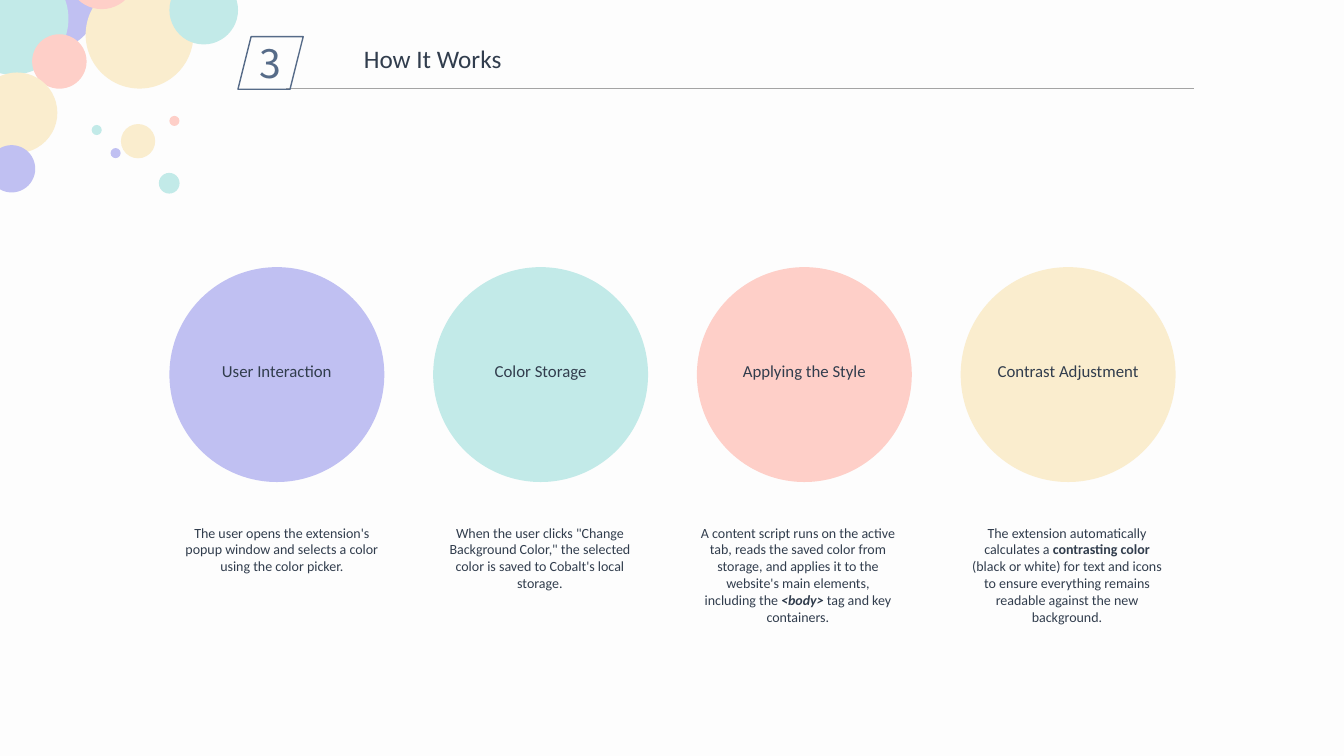
"""Build the "How It Works" slide with four steps."""
import pptx
import pptx.dml.color
import pptx.enum.shapes
import pptx.enum.text
import pptx.oxml.ns
import pptx.util
from lxml import etree

Pt = pptx.util.Pt
SHAPE = pptx.enum.shapes.MSO_SHAPE
ALIGN = pptx.enum.text.PP_ALIGN
ANCHOR = pptx.enum.text.MSO_ANCHOR

LILAC, MINT, PINK, CREAM = "C0C0F2", "C2EAE8", "FECFC8", "FAEDCE"
INK, SLATE, GREY, PAPER = "313D4D", "566B88", "A4A4A4", "FDFDFD"

TITLE = "How It Works"
NUMBER = "3"

STEPS = [
    ("User Interaction", LILAC, 124.5, [
        ("The user opens the extension's popup window and selects a color "
         "using the color picker.", "")]),
    ("Color Storage", MINT, 308.9, [
        ("When the user clicks \"Change Background Color,\" the selected color "
         "is saved to Cobalt's local storage.", "")]),
    ("Applying the Style", PINK, 493.2, [
        ("A content script runs on the active tab, reads the saved color from "
         "storage, and applies it to the website's main elements, including the ", ""),
        ("<body> ", "bi"),
        ("tag and key containers.", "")]),
    ("Contrast Adjustment", CREAM, 685.4, [
        ("The extension automatically calculates a ", ""),
        ("contrasting color", "b"),
        (" (black or white) for text and icons to ensure everything remains "
         "readable against the new background.", "")]),
]

BUBBLES = [
    (2.9, -31.7, 67, LILAC),
    (-31, -26.6, 79.9, MINT),
    (23, 24.5, 38.9, PINK),
    (-16.6, 51.8, 57.6, CREAM),
    (61.2, -13.7, 77, CREAM),
    (48.2, -42.5, 49, PINK),
    (-8.6, 103.7, 33.8, LILAC),
    (86.4, 88.6, 24.5, CREAM),
    (79, 105.8, 7.2, LILAC),
    (65.5, 89.3, 7.2, MINT),
    (121, 82.8, 7.2, PINK),
    (113.5, 123.5, 14.8, MINT),
    (121, -17.3, 49, MINT),
]

CIRCLE_LEFT, CIRCLE_TOP, CIRCLE_SIZE, CIRCLE_STEP = 121, 190.8, 153.5, 188.4
LABEL_TOP, TEXT_TOP = 254.2, 370.8


def rgb(value):
    return pptx.dml.color.RGBColor.from_string(value)


def add_circle(shapes, left, top, size, color):
    sp = shapes.add_shape(SHAPE.OVAL, Pt(left), Pt(top), Pt(size), Pt(size))
    sp.shadow.inherit = False
    sp.fill.solid()
    sp.fill.fore_color.rgb = rgb(color)
    sp.line.fill.background()


def style(p, size, color=INK, font="Calibri", align=ALIGN.CENTER):
    p.alignment = align
    p.font.size = Pt(size)
    p.font.name = font
    p.font.color.rgb = rgb(color)


def add_text(s, left, top, height, size, runs):
    tf = s.shapes.add_textbox(Pt(left), Pt(top), Pt(CIRCLE_SIZE), Pt(height)).text_frame
    tf.word_wrap = True
    p = tf.paragraphs[0]
    style(p, size)
    for text, marks in runs:
        r = p.add_run()
        r.text = text
        if marks:
            r.font.bold = "b" in marks
            r.font.italic = "i" in marks


def add_header(s):
    rule = s.shapes.add_connector(
        pptx.enum.shapes.MSO_CONNECTOR.STRAIGHT, Pt(204.5), Pt(63.4), Pt(853.2), Pt(63.4))
    rule.line.color.rgb = rgb(GREY)
    rule.line.width = Pt(0.5)
    etree.SubElement(rule.element.spPr, pptx.oxml.ns.qn("a:effectLst"))

    badge = s.shapes.add_shape(SHAPE.PARALLELOGRAM, Pt(170), Pt(26.2), Pt(46.6), Pt(37.6))
    badge.shadow.inherit = False
    badge.fill.background()
    badge.line.color.rgb = rgb(SLATE)
    badge.line.width = Pt(1)
    tf = badge.text_frame
    tf.vertical_anchor = ANCHOR.MIDDLE
    tf.margin_left = tf.margin_right = tf.margin_top = tf.margin_bottom = 0
    tf.text = NUMBER
    style(tf.paragraphs[0], 28, SLATE, "Noto Sans CJK KR")

    title = s.shapes.title
    title.left, title.top, title.width, title.height = Pt(252.7), Pt(27.4), Pt(369.4), Pt(29)
    tf = title.text_frame
    tf.text = TITLE
    tf.auto_size = pptx.enum.text.MSO_AUTO_SIZE.NONE
    tf.vertical_anchor = ANCHOR.TOP
    style(tf.paragraphs[0], 18, align=ALIGN.LEFT)


def main():
    prs = pptx.Presentation()
    prs.slide_width, prs.slide_height = Pt(960), Pt(540)
    s = prs.slides.add_slide(prs.slide_layouts[5])
    s.background.fill.solid()
    s.background.fill.fore_color.rgb = rgb(PAPER)

    bubbles = s.shapes.add_group_shape()
    for left, top, size, color in BUBBLES:
        add_circle(bubbles.shapes, left, top, size, color)

    add_header(s)
    for i, (label, color, text_left, runs) in enumerate(STEPS):
        left = CIRCLE_LEFT + i * CIRCLE_STEP
        add_circle(s.shapes, left, CIRCLE_TOP, CIRCLE_SIZE, color)
        add_text(s, left, LABEL_TOP, 21.6, 12, [(label, "")])
        add_text(s, text_left, TEXT_TOP, 80, 10, runs)

    prs.save("out.pptx")


if __name__ == "__main__":
    main()
